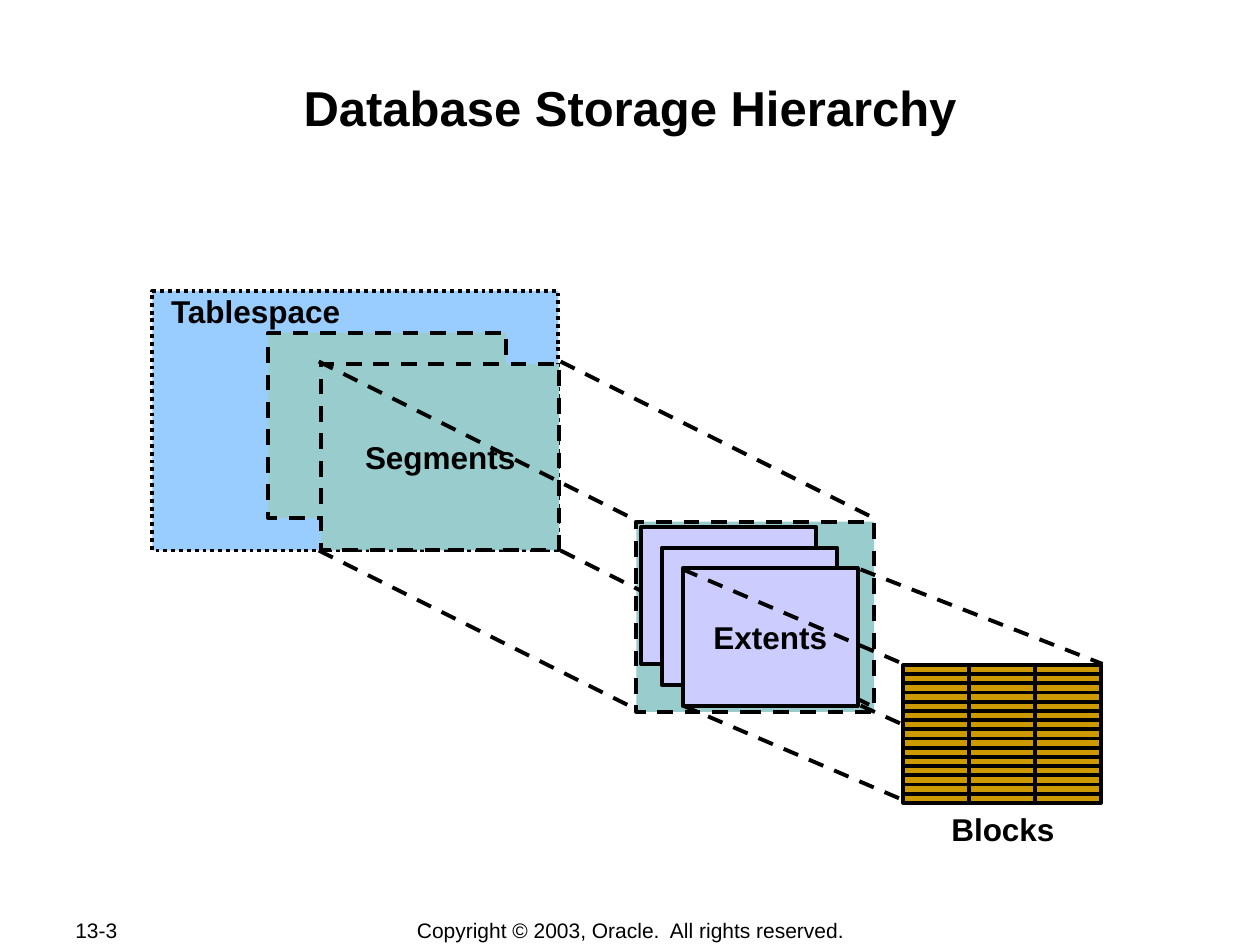
"""Build the database storage hierarchy slide."""
from pptx import Presentation, util as u
from pptx.dml.color import RGBColor
from pptx.enum import dml, shapes, text
from pptx.oxml.ns import qn
from lxml import etree

COLOURS = {
    "ink": "000000",
    "tablespace": "99CCFF",
    "segment": "99CCCC",
    "extent": "CCCCFF",
    "block": "CC9900",
}
LABEL = {"name": "Arial", "size": u.Pt(18), "bold": True}
TITLE = {**LABEL, "size": u.Pt(28)}
FOOTER = {**LABEL, "size": u.Pt(12), "bold": False}
DASH = dml.MSO_LINE.DASH
DOTS = dml.MSO_LINE.ROUND_DOT


def colour(key):
    return RGBColor.from_string(COLOURS[key])


def points(*values):
    return [u.Pt(value) for value in values]


def set_text(shape, words, font, align=text.PP_ALIGN.CENTER,
             anchor=text.MSO_ANCHOR.MIDDLE, wrap=False):
    frame = shape.text_frame
    frame.word_wrap = wrap
    frame.vertical_anchor = anchor
    paragraph = frame.paragraphs[0]
    paragraph.text = words
    paragraph.alignment = align
    for name, value in font.items():
        setattr(paragraph.font, name, value)
    paragraph.font.color.rgb = colour("ink")


def add_text(slide, box, words, font, **layout):
    shape = slide.shapes.add_textbox(*points(*box))
    set_text(shape, words, font, **layout)


def style_line(line, dash):
    line.color.rgb = colour("ink")
    line.width = u.Pt(2.25)
    if dash is not None:
        line.dash_style = dash


def add_box(slide, box, fill, dash=None, words=None):
    shape = slide.shapes.add_shape(shapes.MSO_SHAPE.RECTANGLE, *points(*box))
    shape.shadow.inherit = False
    shape.fill.solid()
    shape.fill.fore_color.rgb = colour(fill)
    style_line(shape.line, dash)
    if words:
        set_text(shape, words, LABEL)


def add_line(slide, start, end, dash=None):
    connector = slide.shapes.add_connector(
        shapes.MSO_CONNECTOR.STRAIGHT, *points(*start, *end))
    style_line(connector.line, dash)
    etree.SubElement(connector._element.spPr, qn("a:effectLst"))


def add_projection(slide, starts, shift):
    for x, y in starts:
        add_line(slide, (x, y), (x + shift[0], y + shift[1]), DASH)


def add_block_grid(slide, left, top, width, height):
    add_box(slide, (left, top, width, height), "block")
    for row in range(14):
        y = top + 5 + row * 5.26
        add_line(slide, (left, y), (left + width, y))
    for column in (1, 2):
        x = left + column * width / 3
        add_line(slide, (x, top), (x, top + height))


def main():
    presentation = Presentation()
    presentation.slide_width, presentation.slide_height = points(720, 540)
    slide = presentation.slides.add_slide(presentation.slide_layouts[6])

    add_text(slide, (36, 524.2, 76.3, 14.4), "13-3", FOOTER,
             align=text.PP_ALIGN.LEFT)
    add_text(slide, (198.7, 524.2, 323.3, 15),
             "Copyright © 2003, Oracle.  All rights reserved.", FOOTER)
    add_text(slide, (64.8, 41, 590.4, 69), "Database Storage Hierarchy", TITLE,
             anchor=text.MSO_ANCHOR.TOP, wrap=True)

    add_box(slide, (87.1, 166.3, 232, 148.3), "tablespace", DOTS)
    add_text(slide, (90, 163.5, 112.3, 28.8), "Tablespace", LABEL)
    add_box(slide, (153.2, 190.1, 136, 106), "segment", DASH)
    add_box(slide, (183.6, 208.1, 136, 106), "segment", DASH, "Segments")
    add_box(slide, (363.6, 298.1, 136, 108.7), "segment", DASH)
    add_projection(slide, [(x, y) for y in (314.6, 206.6)
                           for x in (320.4, 182.2)], (180, 90))

    add_line(slide, (491.8, 403.2), (612, 457.2), DASH)
    add_block_grid(slide, 516.2, 380.2, 113, 78.5)
    add_line(slide, (390.2, 403.2), (516.2, 457.2), DASH)
    add_line(slide, (491.8, 325.4), (630, 379.4), DASH)
    add_text(slide, (536.4, 459, 73.4, 28.8), "Blocks", LABEL)

    for step, words in enumerate((None, None, "Extents")):
        add_box(slide, (366.4 + step * 11.9, 301 + step * 11.9, 100, 78.5),
                "extent", words=words)
    add_line(slide, (390.2, 325.4), (516.2, 379.4), DASH)

    presentation.save("out.pptx")


if __name__ == "__main__":
    main()
